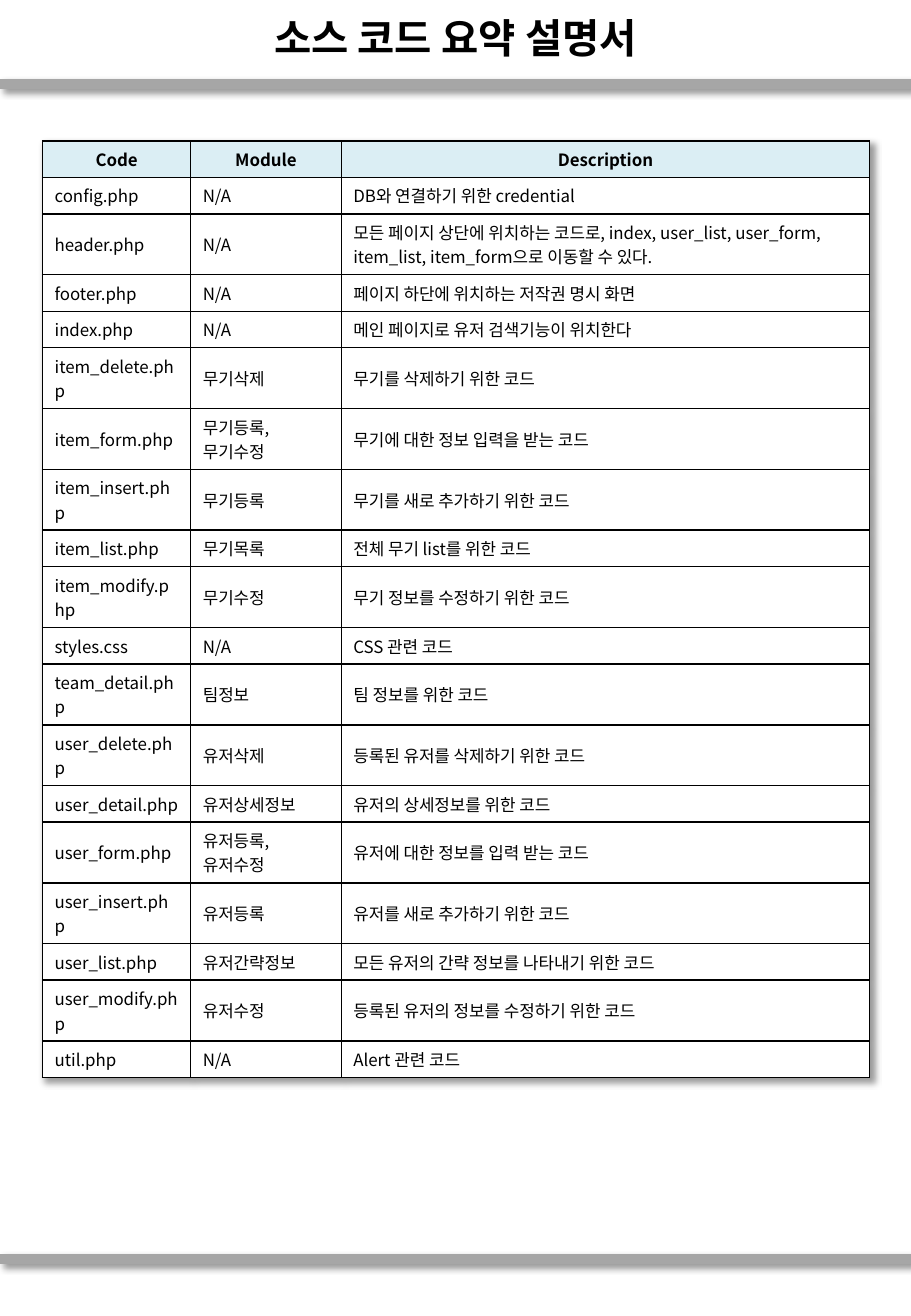
from lxml import etree
from pptx import Presentation
from pptx.dml.color import RGBColor
from pptx.enum.shapes import MSO_CONNECTOR
from pptx.enum.text import MSO_ANCHOR, MSO_AUTO_SIZE, PP_ALIGN
from pptx.oxml import parse_xml
from pptx.oxml.ns import nsdecls, qn
from pptx.util import Inches, Pt

COLORS = {"text": "000000", "rule": "A6A6A6", "border": "000000",
          "header": "DBEEF4", "cell": "FFFFFF", "shadow": "000000"}
TITLE_FONT, BODY_FONT = "Arial", "Noto Sans CJK KR"
PAGE_W, PAGE_H = 7.5, 10.83

HEADERS = ("Code", "Module", "Description")
FILES = [
    ("config.php", "N/A", "DB와 연결하기 위한 credential"),
    ("header.php", "N/A", "모든 페이지 상단에 위치하는 코드로, index, user_list, "
     "user_form, item_list, item_form으로 이동할 수 있다."),
    ("footer.php", "N/A", "페이지 하단에 위치하는 저작권 명시 화면"),
    ("index.php", "N/A", "메인 페이지로 유저 검색기능이 위치한다"),
    ("item_delete.php", "무기삭제", "무기를 삭제하기 위한 코드"),
    ("item_form.php", "무기등록, 무기수정", "무기에 대한 정보 입력을 받는 코드"),
    ("item_insert.php", "무기등록", "무기를 새로 추가하기 위한 코드"),
    ("item_list.php", "무기목록", "전체 무기 list를 위한 코드"),
    ("item_modify.php", "무기수정", "무기 정보를 수정하기 위한 코드"),
    ("styles.css", "N/A", "CSS 관련 코드"),
    ("team_detail.php", "팀정보", "팀 정보를 위한 코드"),
    ("user_delete.php", "유저삭제", "등록된 유저를 삭제하기 위한 코드"),
    ("user_detail.php", "유저상세정보", "유저의 상세정보를 위한 코드"),
    ("user_form.php", "유저등록, 유저수정", "유저에 대한 정보를 입력 받는 코드"),
    ("user_insert.php", "유저등록", "유저를 새로 추가하기 위한 코드"),
    ("user_list.php", "유저간략정보", "모든 유저의 간략 정보를 나타내기 위한 코드"),
    ("user_modify.php", "유저수정", "등록된 유저의 정보를 수정하기 위한 코드"),
    ("util.php", "N/A", "Alert 관련 코드"),
]


def rgb(name):
    return RGBColor.from_string(COLORS[name])


def soft_shadow():
    """Effect list with a shadow towards the lower right."""
    return parse_xml(
        f'<a:effectLst {nsdecls("a")}><a:outerShdw blurRad="{Pt(4)}" dist="{Pt(3)}" '
        f'dir="2700000" algn="tl" rotWithShape="0"><a:srgbClr val="{COLORS["shadow"]}">'
        '<a:alpha val="40000"/></a:srgbClr></a:outerShdw></a:effectLst>')


def format_text(p, font, size, bold, align):
    p.alignment = align
    for r in p.runs:
        r.font.name, r.font.size, r.font.bold = font, Pt(size), bold
        r.font.color.rgb = rgb("text")
        east_asian = etree.Element(qn("a:ea"), typeface=BODY_FONT)
        r.font._element.find(qn("a:latin")).addnext(east_asian)


def add_rule(slide, x, y, w):
    line = slide.shapes.add_connector(MSO_CONNECTOR.STRAIGHT, Inches(x), Inches(y),
                                      Inches(x + w), Inches(y))
    line.line.color.rgb = rgb("rule")
    line.line.width = Pt(6)
    line._element.spPr.append(soft_shadow())


def add_title(slide, text, x, y, w, h):
    sp = slide.shapes.title
    sp.left, sp.top, sp.width, sp.height = map(Inches, (x, y, w, h))
    tf = sp.text_frame
    tf.text = text
    tf.auto_size = MSO_AUTO_SIZE.NONE
    tf.vertical_anchor = MSO_ANCHOR.MIDDLE
    format_text(tf.paragraphs[0], TITLE_FONT, 24, True, PP_ALIGN.CENTER)


def style_cell(cell, text, is_header):
    cell.text = text
    cell.vertical_anchor = MSO_ANCHOR.MIDDLE
    cell.margin_left = cell.margin_right = Inches(0.1)
    cell.margin_top = cell.margin_bottom = Inches(0.05)
    format_text(cell.text_frame.paragraphs[0], BODY_FONT, 10, is_header,
                PP_ALIGN.CENTER if is_header else PP_ALIGN.LEFT)
    # Borders come before the fill in the cell properties
    tc_pr = cell._tc.get_or_add_tcPr()
    for side in "LRTB":
        tc_pr.append(parse_xml(
            f'<a:ln{side} {nsdecls("a")} w="{Pt(1)}"><a:solidFill>'
            f'<a:srgbClr val="{COLORS["border"]}"/></a:solidFill></a:ln{side}>'))
    cell.fill.solid()
    cell.fill.fore_color.rgb = rgb("header" if is_header else "cell")


def add_file_table(slide, x, y, w):
    rows = [HEADERS, *FILES]
    row_h = 0.19  # minimum height: rows grow with their text
    frame = slide.shapes.add_table(len(rows), len(HEADERS), Inches(x), Inches(y),
                                   Inches(w), Inches(row_h * len(rows)))
    table = frame.table
    table.horz_banding = False
    table._tbl.tblPr.insert(0, soft_shadow())
    code_w, module_w = 1.22, 1.24
    for col, col_w in zip(table.columns, (code_w, module_w, w - code_w - module_w)):
        col.width = Inches(col_w)
    for i, row in enumerate(rows):
        table.rows[i].height = Inches(row_h)
        for j, text in enumerate(row):
            style_cell(table.cell(i, j), text, i == 0)


def main():
    prs = Presentation()
    prs.slide_width, prs.slide_height = Inches(PAGE_W), Inches(PAGE_H)
    slide = prs.slides.add_slide(prs.slide_layouts[5])
    # Rules under the title and above the bottom margin
    for y in (0.69, 10.36):
        add_rule(slide, 0, y, PAGE_W)
    add_title(slide, "소스 코드 요약 설명서", 0, 0.01, PAGE_W, 0.6)
    add_file_table(slide, 0.35, 1.16, 6.81)
    prs.save("out.pptx")


if __name__ == "__main__":
    main()
